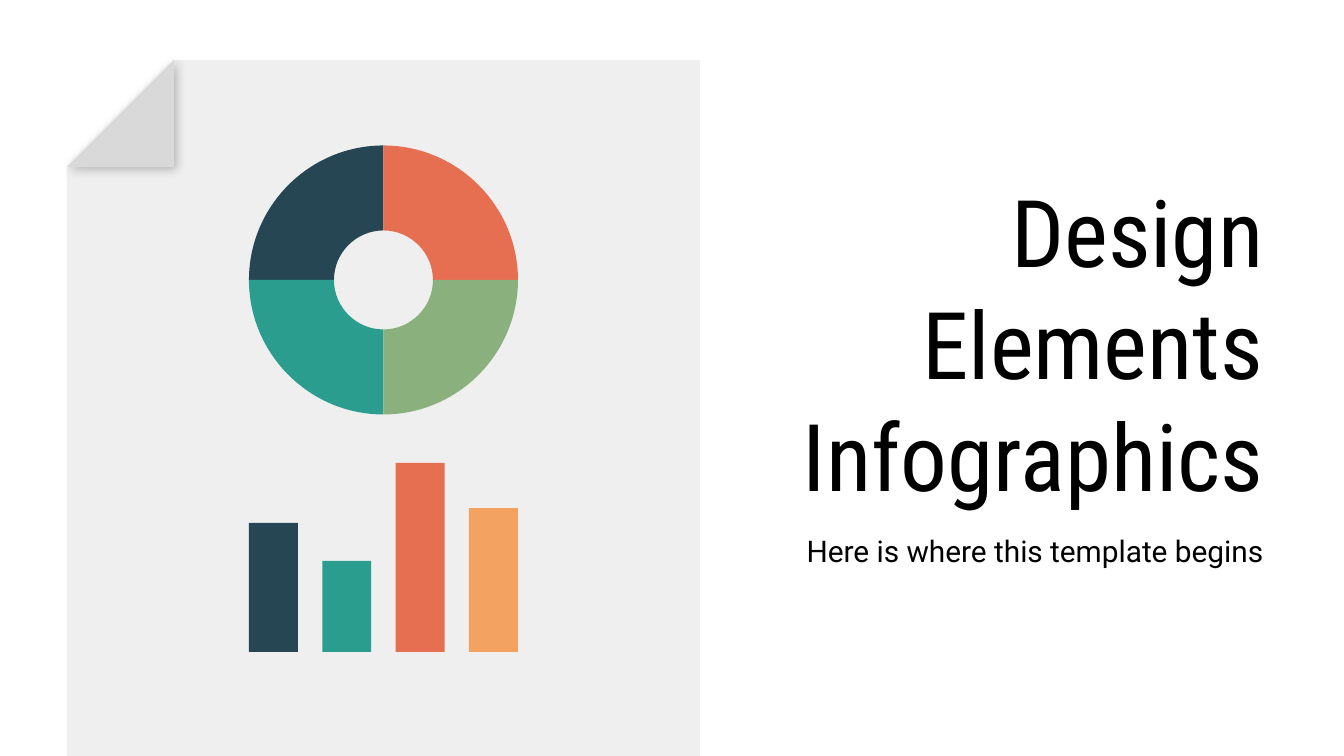
from lxml.etree import SubElement
from pptx import Presentation
from pptx.dml.color import RGBColor
from pptx.enum.shapes import MSO_SHAPE
from pptx.enum.text import MSO_ANCHOR, MSO_AUTO_SIZE, PP_ALIGN
from pptx.oxml.ns import qn
from pptx.util import Emu, Pt

PX_PER_INCH = 134.4
COLOURS = {
    "text": "000000",
    "sheet": "EFEFEF",
    "fold": "D9D9D9",
    "navy": "264653",
    "teal": "2A9D8F",
    "coral": "E76F51",
    "green": "8AB17D",
    "orange": "F4A261",
}
CHART_LEFT, CHART_WIDTH = 249, 269
BAR_WIDTH, BAR_BASE = 49, 652
BARS = [("navy", 523), ("teal", 561), ("coral", 463), ("orange", 508)]
RING_CENTRE_Y, HOLE_WIDTH = 280, 99
QUARTERS = [("navy", -1, -1), ("coral", 1, -1), ("teal", -1, 1), ("green", 1, 1)]
ARC_HANDLE = 0.55


def px(length):
    """Turn pixels into EMU."""
    return Emu(round(length * 914400 / PX_PER_INCH))


def paint(shape, colour):
    """Give a shape a plain fill with no line or shadow."""
    shape.fill.solid()
    shape.fill.fore_color.rgb = RGBColor.from_string(COLOURS[colour])
    shape.line.fill.background()
    shape.shadow.inherit = False


def add_outline(slide, points, colour):
    """Draw a closed polygon through pixel points."""
    start, *rest = [(px(x), px(y)) for x, y in points]
    builder = slide.shapes.build_freeform(*start, scale=1.0)
    builder.add_line_segments(rest, close=True)
    outline = builder.convert_to_shape()
    paint(outline, colour)
    return outline


def bend(first, second, third):
    """Merge three line segments into one cubic curve."""
    first.tag = qn("a:cubicBezTo")
    for segment in (second, third):
        first.append(segment[0])
        segment.getparent().remove(segment)


def add_shadow(shape, blur, distance, degrees, opacity):
    """Add a soft outer shadow to a painted shape."""
    effects = shape._element.spPr.find(qn("a:effectLst"))
    shadow = SubElement(effects, qn("a:outerShdw"), blurRad=str(Pt(blur)),
                        dist=str(Pt(distance)), dir=str(degrees * 60000),
                        algn="bl", rotWithShape="0")
    tint = SubElement(shadow, qn("a:srgbClr"), val=COLOURS["text"])
    SubElement(tint, qn("a:alpha"), val=str(opacity * 1000))


def add_sheet(slide):
    """Draw the paper sheet with its folded corner."""
    left, top, right, bottom, fold = 67, 60, 700, 855, 107
    add_outline(slide, [(left, top + fold), (left, bottom), (right, bottom),
                        (right, top), (left + fold, top)], "sheet")
    corner = add_outline(slide, [(left, top + fold), (left + fold, top),
                                 (left + fold, top + fold)], "fold")
    add_shadow(corner, blur=5.6, distance=1.5, degrees=44, opacity=25)


def arc(radius, across, down):
    """List the ends and handles of a quarter circle from its side to its pole."""
    centre_x = CHART_LEFT + CHART_WIDTH / 2
    steps = [(1, 0), (1, ARC_HANDLE), (ARC_HANDLE, 1), (0, 1)]
    return [(centre_x + across * radius * x, RING_CENTRE_Y + down * radius * y)
            for x, y in steps]


def add_ring(slide):
    """Draw the ring of four curved quarters."""
    for colour, across, down in QUARTERS:
        outer = arc(CHART_WIDTH / 2, across, down)
        inner = arc(HOLE_WIDTH / 2, across, down)
        quarter = add_outline(slide, outer + inner[::-1], colour)
        segments = list(quarter._element.iter(qn("a:lnTo")))
        bend(*segments[:3])
        bend(*segments[4:7])


def add_bars(slide):
    """Draw evenly spaced bars on a common base."""
    pitch = (CHART_WIDTH - BAR_WIDTH) / (len(BARS) - 1)
    for index, (colour, top) in enumerate(BARS):
        bar = slide.shapes.add_shape(
            MSO_SHAPE.RECTANGLE, px(CHART_LEFT + index * pitch), px(top),
            px(BAR_WIDTH), px(BAR_BASE - top))
        paint(bar, colour)


def write(holder, text, *, box, size, font, anchor, line_spacing=1.0, after=0):
    """Place a placeholder and fill it with right-aligned text."""
    holder.left, holder.top, holder.width, holder.height = map(px, box)
    frame = holder.text_frame
    frame.text = text
    frame.word_wrap = True
    frame.auto_size = MSO_AUTO_SIZE.NONE
    frame.vertical_anchor = anchor
    frame.margin_left = frame.margin_right = Pt(7.2)
    frame.margin_top = frame.margin_bottom = Pt(7.2)
    paragraph = frame.paragraphs[0]
    paragraph.alignment = PP_ALIGN.RIGHT
    paragraph.line_spacing = line_spacing
    paragraph.space_before = Pt(0)
    paragraph.space_after = Pt(after)
    paragraph.font.size = Pt(size)
    paragraph.font.name = font
    paragraph.font.color.rgb = RGBColor.from_string(COLOURS["text"])


def main():
    """Build and save the cover slide."""
    deck = Presentation()
    deck.slide_width, deck.slide_height = px(1344), px(756)
    slide = deck.slides.add_slide(deck.slide_layouts[0])
    title, subtitle = slide.placeholders
    write(title, "Design Elements Infographics", box=(739, 182, 538, 320),
          size=50, font="Roboto Condensed", anchor=MSO_ANCHOR.MIDDLE)
    write(subtitle, "Here is where this template begins", box=(739, 514, 538, 59),
          size=16, font="Roboto", anchor=MSO_ANCHOR.TOP,
          line_spacing=1.15, after=16)
    add_sheet(slide)
    add_ring(slide)
    add_bars(slide)
    deck.save("out.pptx")


if __name__ == "__main__":
    main()
